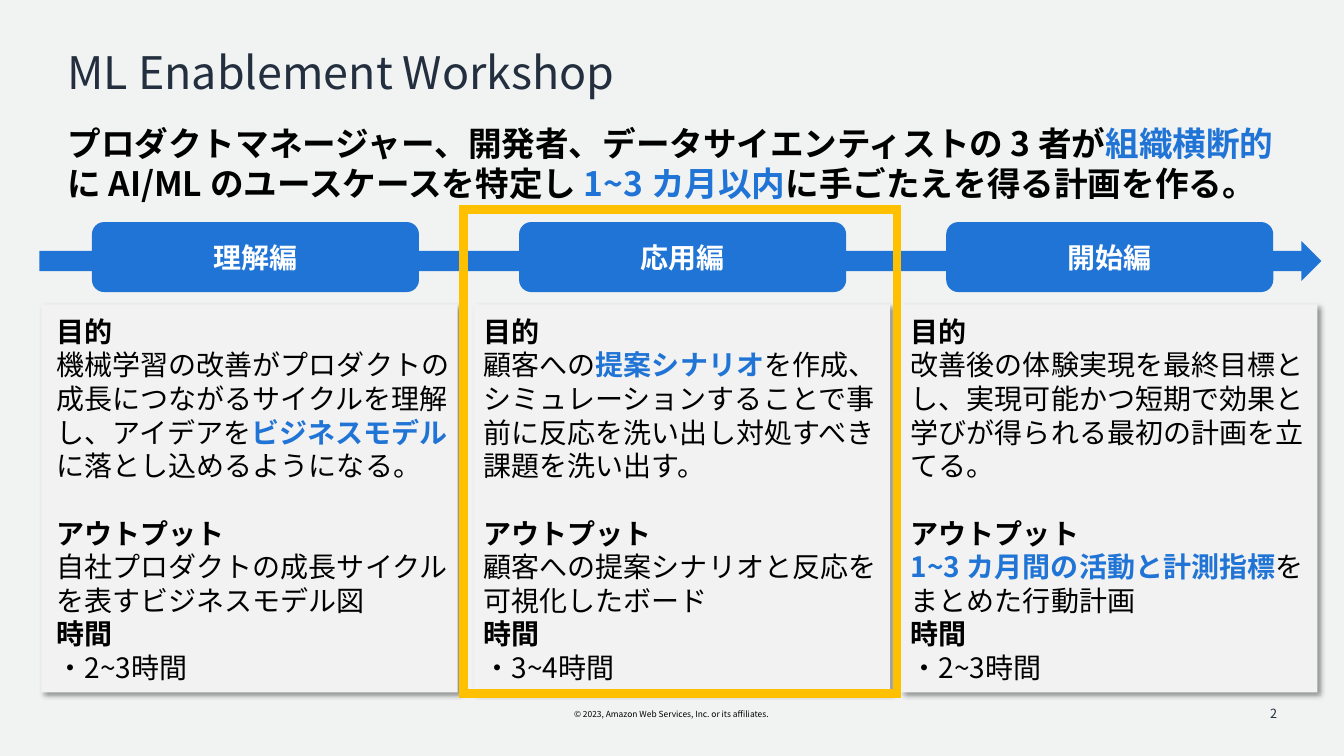
from pptx import Presentation
from pptx.dml.color import RGBColor
from pptx.enum.lang import MSO_LANGUAGE_ID
from pptx.enum.shapes import MSO_SHAPE
from pptx.enum.text import MSO_ANCHOR, MSO_AUTO_SIZE, PP_ALIGN
from pptx.oxml import parse_xml
from pptx.oxml.ns import nsdecls, qn
from pptx.util import Pt

RECT, ROUND, ARROW = MSO_SHAPE.RECTANGLE, MSO_SHAPE.ROUNDED_RECTANGLE, MSO_SHAPE.RIGHT_ARROW
LEFT, CENTER, RIGHT = PP_ALIGN.LEFT, PP_ALIGN.CENTER, PP_ALIGN.RIGHT
TOP, MIDDLE = MSO_ANCHOR.TOP, MSO_ANCHOR.MIDDLE
GROW, FIXED = MSO_AUTO_SIZE.SHAPE_TO_FIT_TEXT, MSO_AUTO_SIZE.NONE
JAPANESE = MSO_LANGUAGE_ID.JAPANESE

FONT = "Noto Sans CJK JP"
BLUE, NAVY, BLACK, WHITE = "2074D5", "232F3E", "000000", "FFFFFF"
PAPER, CARD, AMBER = "F1F3F3", "F2F2F2", "FFC000"
PITCH = 305.1

# name, card left, purpose runs, output runs, time; a (text,) tuple is highlighted
STAGES = [
    ("理解編", 29.5,
     ["機械学習の改善がプロダクトの成長につながるサイクルを理解し、アイデアを",
      ("ビジネスモデル",), "に落とし込めるようになる。"],
     ["自社プロダクトの成長サイクルを表すビジネスモデル図"], "・2~3時間"),
    ("応用編", 338.4,
     ["顧客への", ("提案シナリオ",),
      "を作成、シミュレーションすることで事前に反応を洗い出し対処すべき課題を洗い出す。"],
     ["顧客への提案シナリオと反応を可視化したボード"], "・3~4時間"),
    ("開始編", 643.7,
     ["改善後の体験実現を最終目標とし、実現可能かつ短期で効果と学びが得られる最初の計画を立てる。"],
     [("1~3 カ月間の活動と計測指標",), "をまとめた行動計画"], "・2~3時間"),
]


def rgb(value):
    return RGBColor.from_string(value)


def write(p, text, size=20, color=BLACK, bold=False):
    r = p.add_run()
    r.text = text
    f = r.font
    f.name, f.size, f.bold, f.language_id = FONT, Pt(size), bold, JAPANESE
    f.color.rgb = rgb(color)
    f._element.find(qn("a:latin")).addnext(
        parse_xml(f'<a:ea {nsdecls("a")} typeface="{FONT}"/>'))


def write_mixed(p, parts, size=20, bold=False):
    """Write plain strings in black and one-item tuples in bold blue."""
    for part in parts:
        if isinstance(part, tuple):
            write(p, part[0], size, BLUE, True)
        else:
            write(p, part, size, BLACK, bold)


class Deck:
    def __init__(self):
        self.prs = Presentation()
        self.prs.slide_width, self.prs.slide_height = Pt(960), Pt(540)
        self.s = self.prs.slides.add_slide(self.prs.slide_layouts[6])
        self.s.background.fill.solid()
        self.s.background.fill.fore_color.rgb = rgb(PAPER)

    def text(self, x, y, w, h, inset=0, align=LEFT, anchor=TOP, wrap=True, fit=GROW):
        """Add a text box and return its frame."""
        tf = self.s.shapes.add_textbox(Pt(x), Pt(y), Pt(w), Pt(h)).text_frame
        tf.word_wrap, tf.auto_size, tf.vertical_anchor = wrap, fit, anchor
        tf.margin_left = tf.margin_right = Pt(inset)
        tf.margin_top = tf.margin_bottom = Pt(3.6)
        tf.paragraphs[0].alignment = align
        return tf

    def shape(self, kind, x, y, w, h, fill=None, line=None, weight=1):
        sp = self.s.shapes.add_shape(kind, Pt(x), Pt(y), Pt(w), Pt(h))
        sp.shadow.inherit = False
        if fill:
            sp.fill.solid()
            sp.fill.fore_color.rgb = rgb(fill)
        else:
            sp.fill.background()
        if line:
            sp.line.color.rgb = rgb(line)
            sp.line.width = Pt(weight)
        else:
            sp.line.fill.background()
        return sp

    def card(self, x, y, w, h):
        sp = self.shape(RECT, x, y, w, h, CARD)
        sp._element.spPr.find(qn("a:effectLst")).append(parse_xml(
            f'<a:outerShdw {nsdecls("a")} blurRad="{Pt(4)}" dist="{Pt(3)}" dir="2700000" '
            'algn="tl" rotWithShape="0"><a:srgbClr val="000000"><a:alpha val="40000"/>'
            '</a:srgbClr></a:outerShdw>'))

    def pill(self, x, y, w, h, label):
        tf = self.shape(ROUND, x, y, w, h, BLUE, BLUE).text_frame
        tf.margin_left = tf.margin_right = tf.margin_top = tf.margin_bottom = Pt(3.6)
        tf.vertical_anchor = MIDDLE
        tf.paragraphs[0].alignment = CENTER
        write(tf.paragraphs[0], label, color=WHITE, bold=True)

    def frame(self, x, y, w, h):
        sp = self.shape(RECT, x, y, w, h, line=AMBER, weight=6)
        sp.line._ln.append(parse_xml(f'<a:miter {nsdecls("a")} lim="800000"/>'))

    def stage_text(self, x, y, w, h, purpose, output, time):
        tf = self.text(x, y, w, h)
        sections = [("目的", purpose), ("アウトプット", output), ("時間", [time])]
        for i, (heading, parts) in enumerate(sections):
            p = tf.add_paragraph() if i else tf.paragraphs[0]
            if i == 1:
                p.space_before = Pt(24)
            write(p, heading, bold=True)
            write_mixed(tf.add_paragraph(), parts)


def main():
    deck = Deck()
    tf = deck.text(395.3, 503.3, 168.5, 14.4, 7.2, CENTER, wrap=False)
    write(tf.paragraphs[0], "© 2023, Amazon Web Services, Inc. or its affiliates.", 6)
    tf = deck.text(48.2, 32.4, 862.6, 43.2)
    tf.paragraphs[0].line_spacing = 0.9
    write(tf.paragraphs[0], "ML Enablement Workshop", 32, NAVY)
    tf = deck.text(703.4, 495.4, 216, 28.8, 7.2, RIGHT, MIDDLE, fit=FIXED)
    write(tf.paragraphs[0], "2", 9, NAVY)
    tf = deck.text(48.2, 84.2, 884.2, 65.5)
    write_mixed(tf.paragraphs[0], [
        "プロダクトマネージャー、開発者、データサイエンティストの 3 者が", ("組織横断的",),
        "に AI/ML のユースケースを特定し ", ("1~3 カ月以内",),
        "に手ごたえを得る計画を作る。"], 24, True)

    for _, left, *_ in STAGES:
        deck.card(left, 217.4, 297.4, 277.2)
    deck.shape(ARROW, 28.1, 172.1, 915.8, 28.8, BLUE)
    for i, (name, _, purpose, output, time) in enumerate(STAGES):
        deck.pill(66.2 + i * PITCH, 159.1, 232.6, 49, name)
        deck.stage_text(40.4 + i * PITCH, 221, 284.4, 273.6, purpose, output, time)
    deck.frame(331.2, 149.8, 309.6, 345.6)
    deck.prs.save("out.pptx")


if __name__ == "__main__":
    main()
